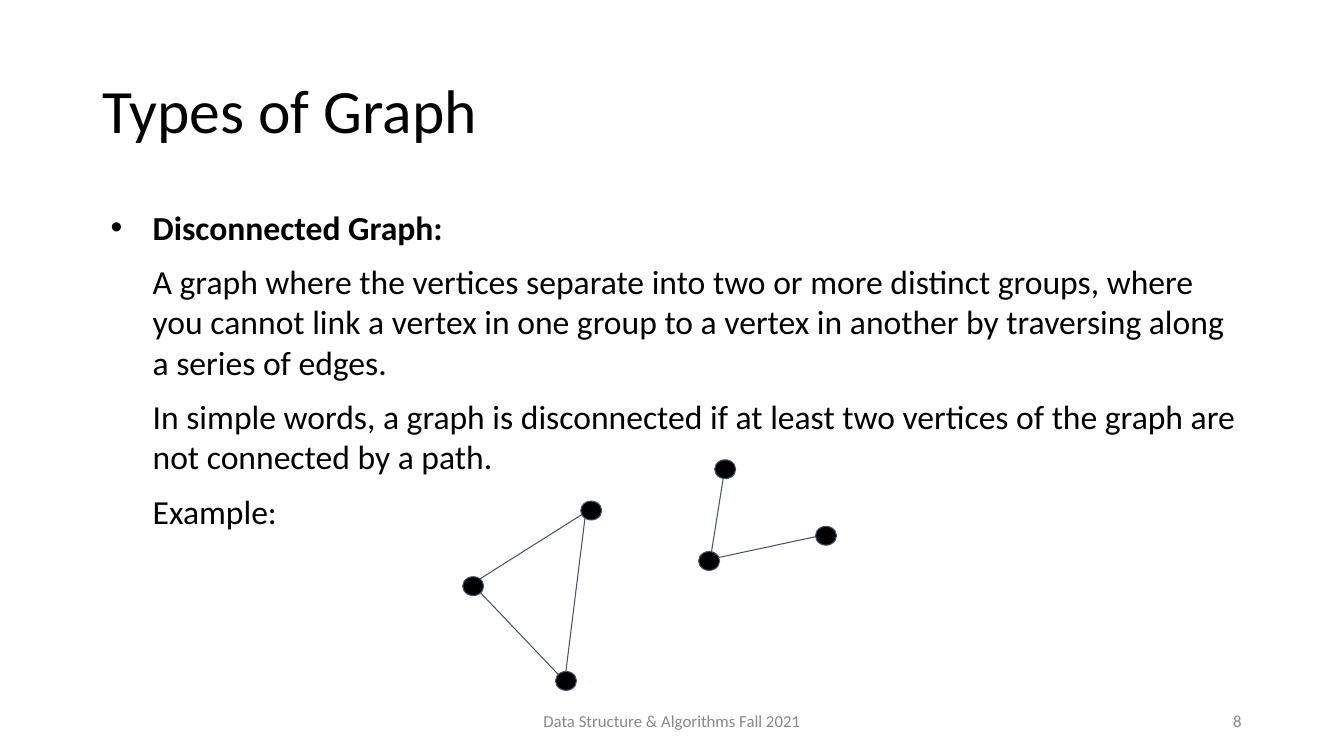
from lxml.etree import SubElement
from pptx import Presentation
from pptx.dml.color import RGBColor
from pptx.enum.shapes import MSO_CONNECTOR, MSO_SHAPE
from pptx.enum.text import MSO_ANCHOR, MSO_AUTO_SIZE, PP_ALIGN
from pptx.oxml.ns import qn
from pptx.util import Pt


def color(value):
    return RGBColor.from_string(value)


def write(para, text, size=24, fill="000000", bold=False, align=PP_ALIGN.LEFT,
          spacing=1.0, before=0, indent=0, bullet=None, hang=30):
    """Fill a paragraph with one formatted run; a bullet hangs left of the indent."""
    para.alignment = align
    para.line_spacing = spacing
    para.space_before = Pt(before)
    span = para.add_run()
    span.text = text
    span.font.name = "Calibri"
    span.font.size = Pt(size)
    span.font.bold = bold
    span.font.color.rgb = color(fill)
    if indent:
        properties = para._p.get_or_add_pPr()
        properties.set("marL", str(Pt(indent)))
        properties.set("indent", str(Pt(-hang if bullet else 0)))
        if bullet:
            SubElement(properties, qn("a:buFont")).set("typeface", "Arial")
            SubElement(properties, qn("a:buChar")).set("char", bullet)


class GraphSlide:
    """Holds the slide and the style shared by nodes and edges."""

    edge_color = "44546A"
    edge_width = 0.75
    node_color = "000000"
    node_size = (15, 13.5)

    def __init__(self, deck):
        self.page = deck.slides.add_slide(deck.slide_layouts[5])

    def style_line(self, line):
        line.color.rgb = color(self.edge_color)
        line.width = Pt(self.edge_width)

    def title(self, text, left, top, width, height):
        box = self.page.shapes.title
        box.left, box.top, box.width, box.height = map(Pt, (left, top, width, height))
        frame = box.text_frame
        frame.word_wrap = True
        frame.auto_size = MSO_AUTO_SIZE.NONE
        frame.vertical_anchor = MSO_ANCHOR.MIDDLE
        write(frame.paragraphs[0], text, size=44, spacing=0.9)

    def text(self, paragraphs, left, top, width, height, anchor=MSO_ANCHOR.TOP, **style):
        """Add a text box from (text, format) pairs that share a style."""
        box = self.page.shapes.add_textbox(*map(Pt, (left, top, width, height)))
        frame = box.text_frame
        frame.word_wrap = True
        frame.vertical_anchor = anchor
        for index, (text, extra) in enumerate(paragraphs):
            para = frame.add_paragraph() if index else frame.paragraphs[0]
            write(para, text, **{**style, **extra})

    def footer(self, text, left, width, align):
        self.text([(text, {})], left, 500.5, width, 28.75, MSO_ANCHOR.MIDDLE,
                  size=12, fill="888888", align=align)

    def shape(self, kind, left, top, width, height, fill=None, rotation=0):
        shape = self.page.shapes.add_shape(kind, *map(Pt, (left, top, width, height)))
        shape.shadow.inherit = False
        shape.rotation = rotation
        if fill:
            shape.fill.solid()
            shape.fill.fore_color.rgb = color(fill)
        else:
            shape.fill.background()
        self.style_line(shape.line)

    def node(self, x, y):
        width, height = self.node_size
        self.shape(MSO_SHAPE.OVAL, x - width / 2, y - height / 2, width, height,
                   self.node_color)

    def edge(self, start, end):
        line = self.page.shapes.add_connector(
            MSO_CONNECTOR.STRAIGHT, *map(Pt, (*start, *end)))
        SubElement(line._element.spPr, qn("a:effectLst"))
        self.style_line(line.line)


BODY = [
    ("Disconnected Graph:", {"bold": True, "bullet": "•"}),
    ("A graph where the vertices separate into two or more distinct groups, where you "
     "cannot link a vertex in one group to a vertex in another by traversing along a "
     "series of edges.", {}),
    ("In simple words, a graph is disconnected if at least two vertices of the graph "
     "are not connected by a path.", {}),
    ("Example:", {}),
]
TRIANGLE_NODES = [(404.3, 486.4), (338, 418.7), (422.3, 364.7)]
PATH_NODES = [(506.5, 400.7), (518, 335.2), (590, 382.7)]
PATH_EDGES = [((506.9, 402.5), (517.7, 334.8)), ((506.9, 399.6), (594, 380.9))]


def main():
    deck = Presentation()
    deck.slide_width, deck.slide_height = Pt(960), Pt(540)
    slide = GraphSlide(deck)
    slide.title("Types of Graph", 66, 28.75, 828, 104.5)
    slide.text(BODY, 66, 144, 828, 342.5, before=10, indent=36)
    slide.footer("8", 678, 216, PP_ALIGN.RIGHT)
    slide.shape(MSO_SHAPE.ISOSCELES_TRIANGLE, 313.2, 384.5, 121.7, 74.2, rotation=277.1)
    for start, end in PATH_EDGES:
        slide.edge(start, end)
    for x, y in TRIANGLE_NODES + PATH_NODES:
        slide.node(x, y)
    slide.footer("Data Structure & Algorithms Fall 2021", 318, 324, PP_ALIGN.CENTER)
    deck.save("out.pptx")


if __name__ == "__main__":
    main()
